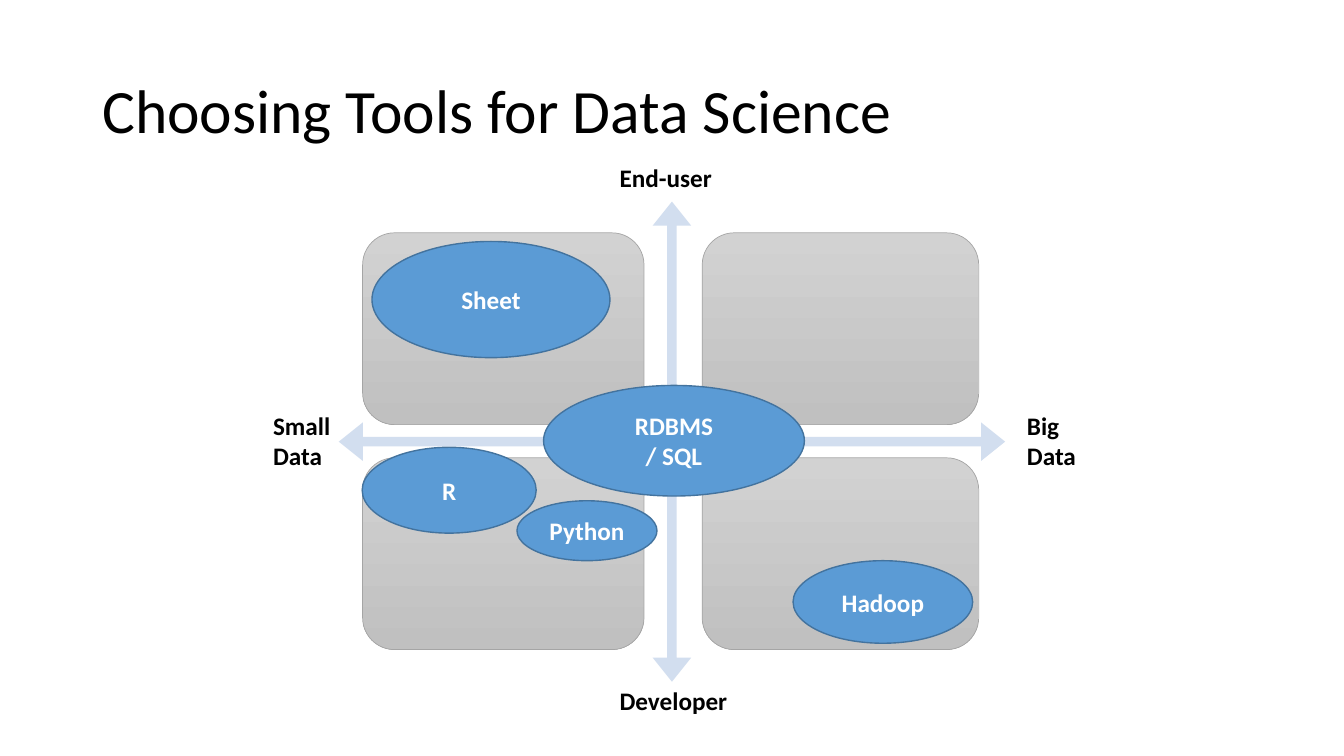
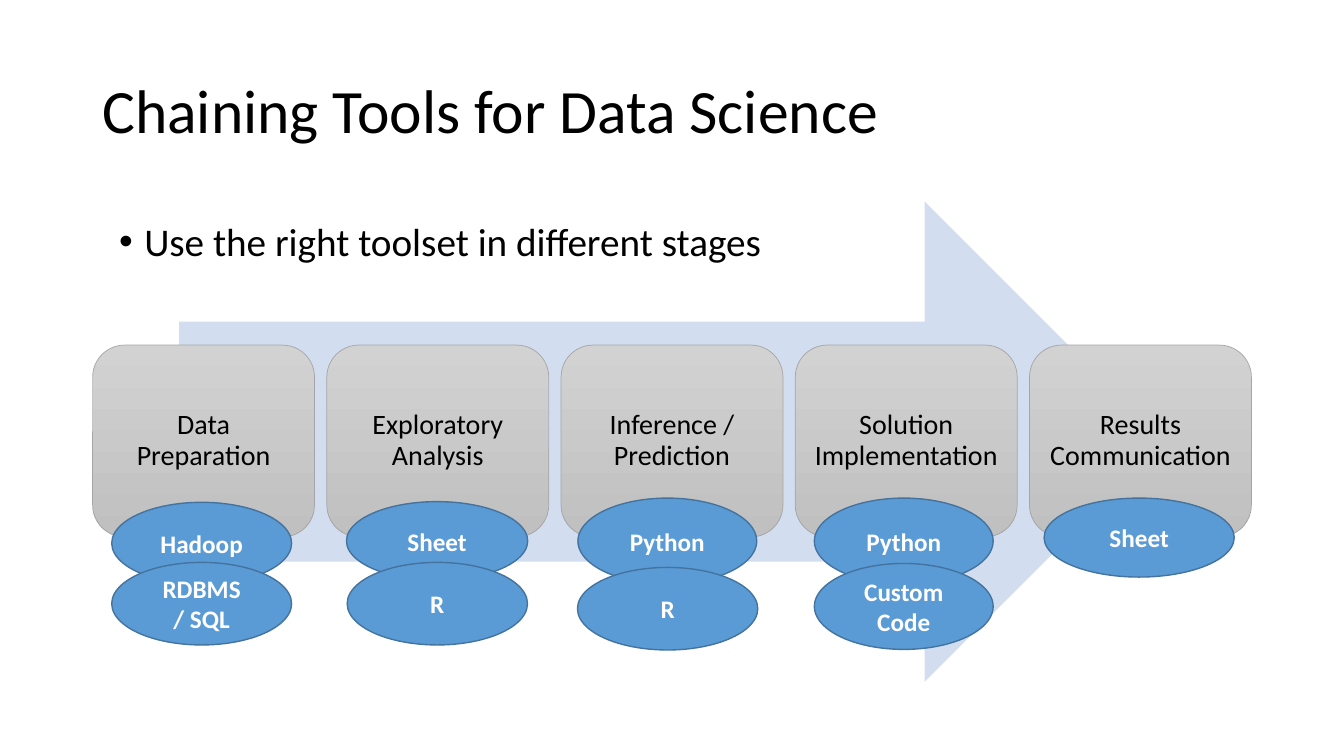
from lxml import etree
from pptx import Presentation
from pptx import util as u
from pptx.dml.color import RGBColor
from pptx.enum import shapes, text
from pptx.oxml import ns

Pt = u.Pt
GEO = shapes.MSO_SHAPE
LEFT, CENTER = text.PP_ALIGN.LEFT, text.PP_ALIGN.CENTER
TOP, MIDDLE = text.MSO_ANCHOR.TOP, text.MSO_ANCHOR.MIDDLE

BLACK = RGBColor(0x00, 0x00, 0x00)
WHITE = RGBColor(0xFF, 0xFF, 0xFF)
PALE_BLUE = RGBColor(0xD2, 0xDE, 0xEF)
BLUE = RGBColor(0x5B, 0x9B, 0xD5)
DARK_BLUE = RGBColor(0x43, 0x73, 0x9E)
GREY_LIGHT = RGBColor(0xD2, 0xD2, 0xD2)
GREY_DARK = RGBColor(0xC0, 0xC0, 0xC0)
GREY_LINE = RGBColor(0xA5, 0xA5, 0xA5)
FONT = "Calibri"


def add_text(sp, content, size=18, color=BLACK, bold=False, align=LEFT,
             anchor=TOP, spacing=None, before=None, wrap=True, bullet=False):
    tf = sp.text_frame
    tf.word_wrap = wrap
    tf.vertical_anchor = anchor
    for i, line in enumerate(content.split("\n")):
        p = tf.add_paragraph() if i else tf.paragraphs[0]
        p.alignment = align
        if spacing:
            p.line_spacing = spacing
        if before:
            p.space_before = Pt(before)
        if bullet:
            pPr = p._p.get_or_add_pPr()
            pPr.set("marL", str(Pt(18)))
            pPr.set("indent", str(Pt(-18)))
            etree.SubElement(pPr, ns.qn("a:buFont")).set("typeface", "Arial")
            etree.SubElement(pPr, ns.qn("a:buChar")).set("char", "•")
        r = p.add_run()
        r.text = line
        r.font.name = FONT
        r.font.size = Pt(size)
        r.font.bold = bold
        r.font.color.rgb = color


def add_shape(s, kind, box, fill, line=None, weight=1):
    sp = s.shapes.add_shape(kind, *map(Pt, box))
    sp.shadow.inherit = False
    if isinstance(fill, list):
        sp.fill.gradient()
        sp.fill.gradient_angle = 270
        for stop, color in zip(sp.fill.gradient_stops, fill):
            stop.color.rgb = color
    else:
        sp.fill.solid()
        sp.fill.fore_color.rgb = fill
    if line is None:
        sp.line.fill.background()
    else:
        sp.line.color.rgb = line
        sp.line.width = Pt(weight)
    return sp


prs = Presentation()
prs.slide_width, prs.slide_height = Pt(960), Pt(540)

TITLES = ["Choosing Tools for Data Science", "Chaining Tools for Data Science"]
slides = []
for title in TITLES:
    s = prs.slides.add_slide(prs.slide_layouts[6])
    sp = s.shapes.add_textbox(Pt(66), Pt(28.75), Pt(828), Pt(104.4))
    add_text(sp, title, size=44, anchor=MIDDLE, spacing=0.9)
    slides.append(s)
choosing, chaining = slides

CARD = [GREY_LIGHT, GREY_DARK]
CARD_H = 137

sp = add_shape(choosing, GEO.QUAD_ARROW, (242, 144, 476, 343), PALE_BLUE)
for i, value in enumerate((0.02, 0.04, 0.05)):
    sp.adjustments[i] = value

for top in (166.3, 327):
    for left, width in ((259, 201), (501.6, 197.5)):
        add_shape(choosing, GEO.ROUNDED_RECTANGLE, (left, top, width, CARD_H),
                  CARD, GREY_LINE, 0.5)

AXIS_LABELS = [
    ("Small\nData", 188, 289.5, 55.5, 51),
    ("Big\nData", 726.5, 289.5, 50, 51),
    ("End-user", 435.5, 112.3, 81, 29),
    ("Developer", 435.5, 486, 92, 29),
]
for label, *box in AXIS_LABELS:
    sp = choosing.shapes.add_textbox(*map(Pt, box))
    add_text(sp, label, bold=True, wrap=False)

add_shape(chaining, GEO.RIGHT_ARROW, (128, 144, 704, 343), PALE_BLUE)

STAGES = ["Data Preparation", "Exploratory Analysis", "Inference / Prediction",
          "Solution Implementation", "Results Communication"]
STAGE_LEFT, STAGE_W, STAGE_PITCH = 66.2, 158.5, 167.3
for i, stage in enumerate(STAGES):
    sp = add_shape(chaining, GEO.ROUNDED_RECTANGLE,
                   (STAGE_LEFT + i * STAGE_PITCH, 246.5, STAGE_W, CARD_H),
                   CARD, GREY_LINE, 0.5)
    tf = sp.text_frame
    tf.margin_left = tf.margin_right = tf.margin_top = tf.margin_bottom = Pt(6)
    add_text(sp, stage, size=20, align=CENTER, anchor=MIDDLE, spacing=0.9)

TOOLS = [
    (choosing, "Sheet", 265.7, 172.5, 170, 83),
    (choosing, "RDBMS\n/ SQL", 388.3, 275.3, 186.3, 79),
    (choosing, "Hadoop", 566.5, 400.5, 128.3, 59),
    (choosing, "R", 258.7, 319.5, 124.3, 61.3),
    (choosing, "Python", 369.3, 357.7, 100, 42.8),
    (chaining, "Sheet", 745.8, 355.8, 135.8, 56.4),
    (chaining, "Hadoop", 79.8, 358.8, 128.5, 58.5),
    (chaining, "RDBMS\n/ SQL", 79.8, 401.7, 128.5, 59),
    (chaining, "Sheet", 247.5, 358.3, 129.5, 56.2),
    (chaining, "R", 248, 401.7, 128.8, 59),
    (chaining, "Python", 412.8, 355.8, 127.7, 61.4),
    (chaining, "R", 412.5, 405.3, 128.8, 59),
    (chaining, "Python", 581.7, 355.8, 127.7, 61.4),
    (chaining, "Custom\nCode", 581.7, 402.5, 127.7, 61.4),
]
for s, tool, *box in TOOLS:
    sp = add_shape(s, GEO.OVAL, box, BLUE, DARK_BLUE)
    add_text(sp, tool, color=WHITE, bold=True, align=CENTER, anchor=MIDDLE)

sp = chaining.shapes.add_textbox(Pt(78), Pt(155.5), Pt(828), Pt(343))
add_text(sp, "Use the right toolset in different stages", size=28, spacing=0.9,
         before=10, bullet=True)

prs.save("out.pptx")
